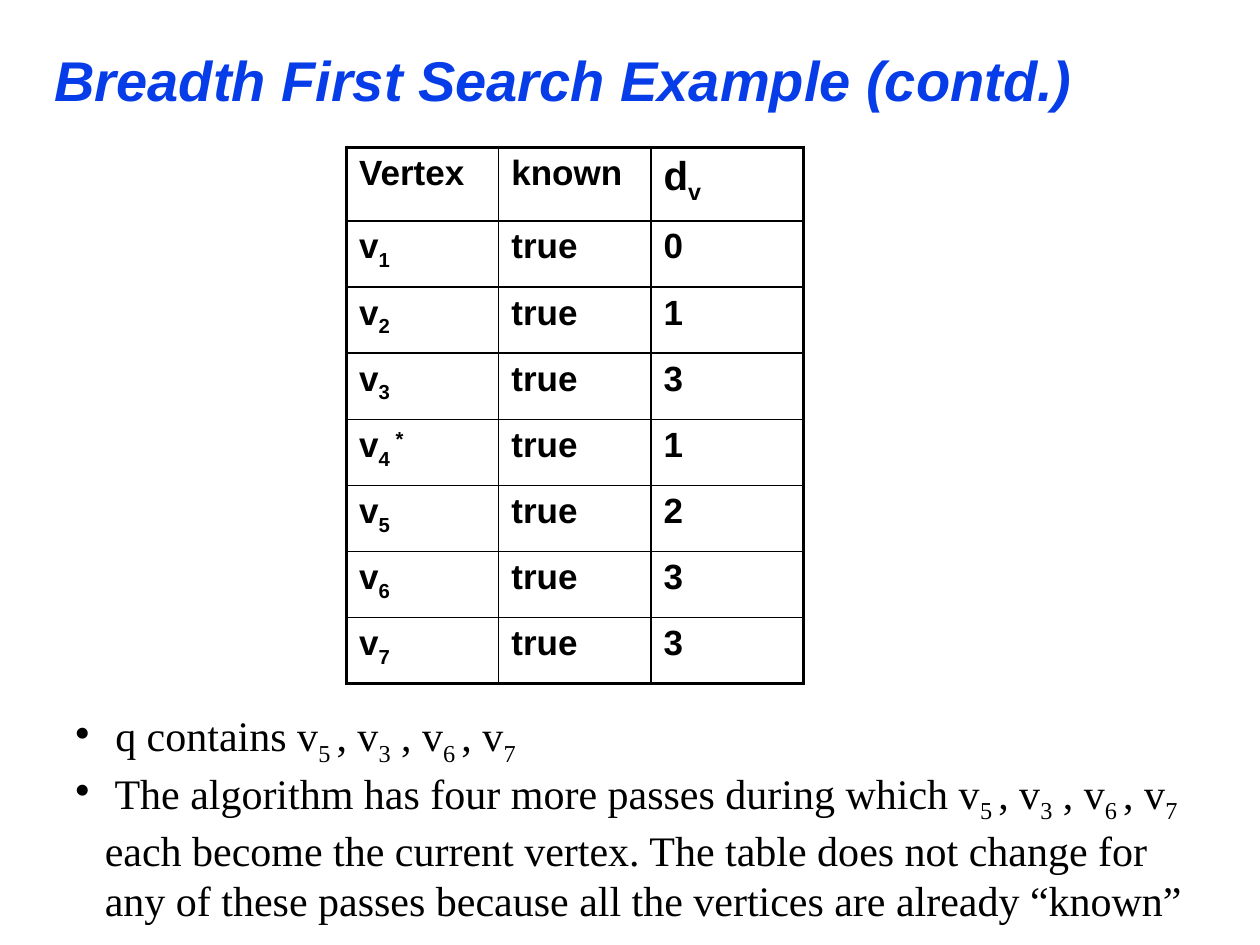
from pptx import Presentation
from pptx.dml.color import RGBColor
from pptx.enum import text
from pptx.oxml import parse_xml
from pptx.oxml.ns import nsdecls
from pptx.util import Pt

COLORS = {"title": "063DE8", "ink": "000000"}
SUB, SUPER = -25, 30
COLUMN_WIDTH, HEADER_HEIGHT, ROW_HEIGHT = 87, 42, 37.8
THICK, THIN = 2.25, 1


def vertex(number):
    return [("v", 0), (str(number), SUB)]


QUEUE = [("v", 0), ("5 ", SUB), (", v", 0), ("3", SUB),
         (" , v", 0), ("6 ", SUB), (", v", 0)]


def write(paragraph, content, font="Arial", size=20, color="ink",
          bold=False, italic=False):
    """Write a string, or a list of (text, baseline) pieces."""
    pieces = [(content, 0)] if isinstance(content, str) else content
    for words, baseline in pieces:
        run = paragraph.add_run()
        run.text = words
        run.font.name = font
        run.font.size = Pt(size)
        run.font.bold = bold
        run.font.italic = italic
        run.font.color.rgb = RGBColor.from_string(COLORS[color])
        if baseline:
            run.font._element.set("baseline", str(baseline * 1000))


def add_box(slide, left, top, width, height):
    frame = slide.shapes.add_textbox(
        Pt(left), Pt(top), Pt(width), Pt(height)).text_frame
    frame.word_wrap = True
    return frame


def add_bullet(paragraph, hanging):
    properties = paragraph._p.get_or_add_pPr()
    properties.set("marL", str(Pt(hanging)))
    properties.set("indent", str(-Pt(hanging)))
    properties.append(parse_xml(f'<a:buChar {nsdecls("a")} char="•"/>'))


def set_borders(cell, widths):
    properties = cell._tc.get_or_add_tcPr()
    for side in "LRTB":
        properties.append(parse_xml(
            f'<a:ln{side} {nsdecls("a")} w="{Pt(widths[side])}"><a:solidFill>'
            f'<a:srgbClr val="{COLORS["ink"]}"/></a:solidFill></a:ln{side}>'))


def add_vertex_table(slide, rows, left, top):
    last_row, last_column = len(rows) - 1, len(rows[0]) - 1
    height = HEADER_HEIGHT + last_row * ROW_HEIGHT
    table = slide.shapes.add_table(
        len(rows), len(rows[0]), Pt(left), Pt(top),
        Pt(COLUMN_WIDTH * len(rows[0])), Pt(height)).table
    table.first_row = table.horz_banding = False
    for column in table.columns:
        column.width = Pt(COLUMN_WIDTH)
    for r, values in enumerate(rows):
        table.rows[r].height = Pt(ROW_HEIGHT if r else HEADER_HEIGHT)
        for c, value in enumerate(values):
            cell = table.cell(r, c)
            # Thick outer frame, thin inner grid
            outer = {"L": c == 0, "R": c == last_column,
                     "T": r == 0, "B": r == last_row}
            set_borders(cell, {side: THICK if edge else THIN
                               for side, edge in outer.items()})
            cell.fill.background()
            size = 23 if (r, c) == (0, last_column) else 20
            write(cell.text_frame.paragraphs[0], value, size=size, bold=True)


def main():
    deck = Presentation()
    deck.slide_width, deck.slide_height = Pt(720), Pt(540)
    slide = deck.slides.add_slide(deck.slide_layouts[6])

    # Table of vertices and distances
    distances = [0, 1, 3, 1, 2, 3, 3]
    rows = [["Vertex", "known", [("d", 0), ("v", SUB)]]]
    rows += [[vertex(number), "true", str(distance)]
             for number, distance in enumerate(distances, 1)]
    rows[4][0] = [("v", 0), ("4 ", SUB), ("*", SUPER)]  # current vertex
    add_vertex_table(slide, rows, 198, 84.24)

    # Title
    title = add_box(slide, 24, 18, 696, 54)
    title.vertical_anchor = text.MSO_ANCHOR.MIDDLE
    write(title.paragraphs[0], "Breadth First Search Example (contd.)",
          size=32, color="title", bold=True, italic=True)

    # Remarks on the queue
    remarks = [
        [(" q contains ", 0), *QUEUE, ("7", SUB)],
        [(" The algorithm has four more passes during which ", 0), *QUEUE,
         ("7 ", SUB),
         ("each become the current vertex. The table does not change for any "
          "of these passes because all the vertices are already “known”", 0)],
    ]
    body = add_box(slide, 36, 402, 666, 122.4)
    for index, remark in enumerate(remarks):
        paragraph = body.add_paragraph() if index else body.paragraphs[0]
        add_bullet(paragraph, 16.8)
        write(paragraph, remark, font="Times New Roman", size=24)

    deck.save("out.pptx")


if __name__ == "__main__":
    main()
